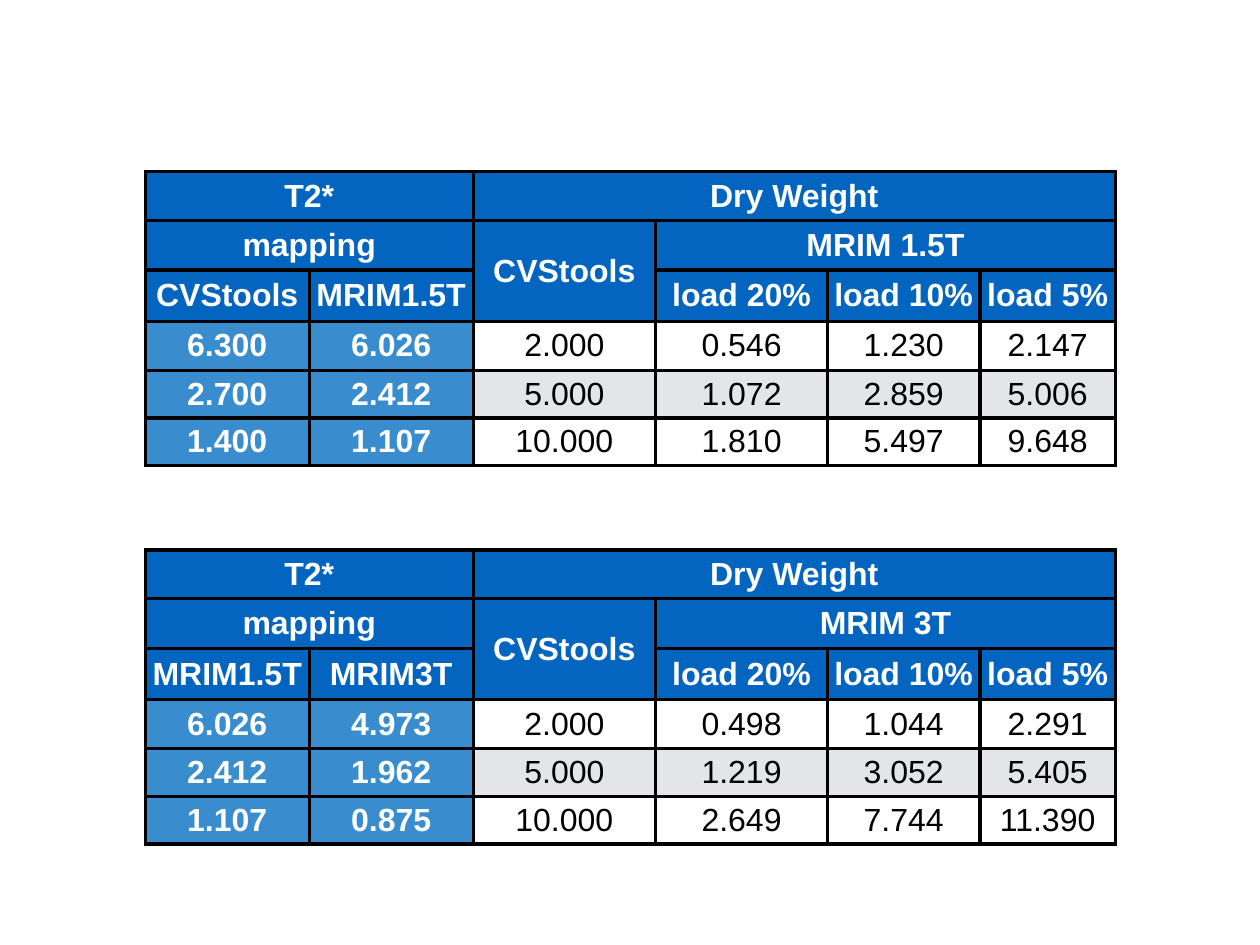
from lxml import etree
from pptx import Presentation
from pptx import util as u
from pptx.dml.color import RGBColor
from pptx.enum import text
from pptx.oxml import ns

PX = 9144  # 100 px to the inch
COLORS = {
    "header": "0365C0",
    "mapping": "398CCE",
    "plain": "FFFFFF",
    "band": "E3E5E8",
    "light": "FFFFFF",
    "ink": "000000",
}
COLUMN_WIDTHS = [185, 185, 206, 194, 172, 153]
ROW_HEIGHTS = [55, 56, 58, 55, 54, 54]
HEADER_ROWS = 3
MAPPING_COLUMNS = 2
MERGES = [((0, 0), (0, 1)), ((0, 2), (0, 5)), ((1, 0), (1, 1)),
          ((1, 2), (2, 2)), ((1, 3), (1, 5))]


class Page:
    def __init__(self, deck, font, size):
        self.slide = deck.slides.add_slide(deck.slide_layouts[6])
        self.font = font
        self.size = size

    def table(self, left, top, rows):
        frame = self.slide.shapes.add_table(
            len(rows), len(COLUMN_WIDTHS), left * PX, top * PX,
            sum(COLUMN_WIDTHS) * PX, sum(ROW_HEIGHTS) * PX)
        table = frame.table
        table.first_row = table.horz_banding = False
        for column, width in zip(table.columns, COLUMN_WIDTHS):
            column.width = width * PX
        for row, height in zip(table.rows, ROW_HEIGHTS):
            row.height = height * PX
        for start, end in MERGES:
            table.cell(*start).merge(table.cell(*end))
        for r, values in enumerate(rows):
            for c, value in enumerate(values):
                if r < HEADER_ROWS:
                    fill = "header"
                elif c < MAPPING_COLUMNS:
                    fill = "mapping"
                else:
                    fill = "band" if (r - HEADER_ROWS) % 2 else "plain"
                self.cell(table.cell(r, c), value, fill)

    def cell(self, cell, value, fill):
        strong = fill in ("header", "mapping")
        cell.fill.solid()
        cell.fill.fore_color.rgb = RGBColor.from_string(COLORS[fill])
        cell.vertical_anchor = text.MSO_ANCHOR.MIDDLE
        cell.margin_left = cell.margin_right = 6 * PX
        cell.margin_top = cell.margin_bottom = 6 * PX
        self.borders(cell)
        if not value:
            return
        para = cell.text_frame.paragraphs[0]
        para.alignment = text.PP_ALIGN.CENTER
        span = para.add_run()
        span.text = value
        span.font.name = self.font
        span.font.size = u.Pt(self.size)
        span.font.bold = strong
        span.font.color.rgb = RGBColor.from_string(COLORS["light" if strong else "ink"])

    def borders(self, cell):
        properties = cell._tc.get_or_add_tcPr()
        for index, side in enumerate(("lnL", "lnR", "lnT", "lnB")):
            line = etree.Element(ns.qn(f"a:{side}"), w=str(u.Pt(3)))
            solid = etree.SubElement(line, ns.qn("a:solidFill"))
            etree.SubElement(solid, ns.qn("a:srgbClr"), val=COLORS["ink"])
            properties.insert(index, line)


def weight_rows(mapping_names, scanner, values):
    """Put the shared header rows above the measured values."""
    loads = ["load 20%", "load 10%", "load 5%"]
    return [
        ["T2*", "", "Dry Weight", "", "", ""],
        ["mapping", "", "CVStools", scanner, "", ""],
        [*mapping_names, "", *loads],
        *values,
    ]


def main():
    deck = Presentation()
    deck.slide_width = 1422 * PX
    deck.slide_height = 1067 * PX
    page = Page(deck, "Arial", 26)
    page.table(164, 194, weight_rows(["CVStools", "MRIM1.5T"], "MRIM 1.5T", [
        ["6.300", "6.026", "2.000", "0.546", "1.230", "2.147"],
        ["2.700", "2.412", "5.000", "1.072", "2.859", "5.006"],
        ["1.400", "1.107", "10.000", "1.810", "5.497", "9.648"],
    ]))
    page.table(164, 621, weight_rows(["MRIM1.5T", "MRIM3T"], "MRIM 3T", [
        ["6.026", "4.973", "2.000", "0.498", "1.044", "2.291"],
        ["2.412", "1.962", "5.000", "1.219", "3.052", "5.405"],
        ["1.107", "0.875", "10.000", "2.649", "7.744", "11.390"],
    ]))
    deck.save("out.pptx")


if __name__ == "__main__":
    main()
